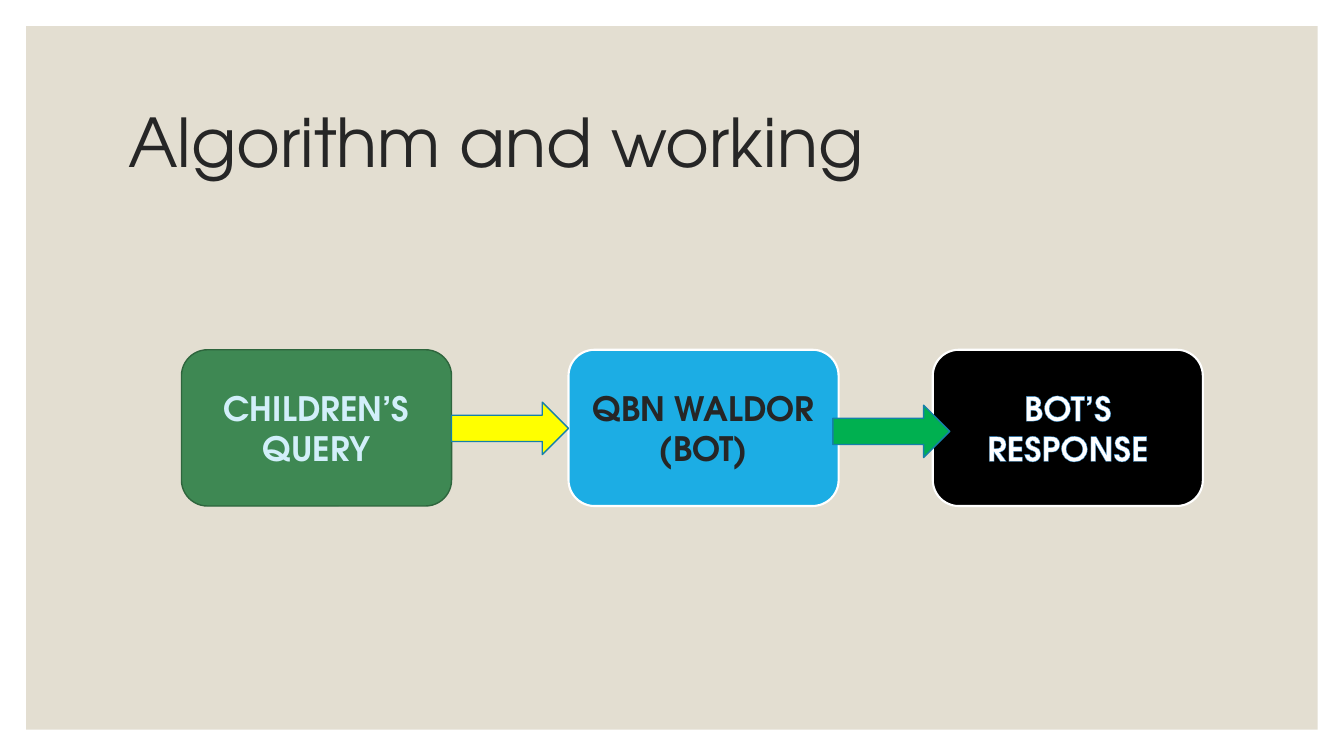
from dataclasses import dataclass

from lxml import etree
from pptx import Presentation
from pptx import util as u
from pptx.dml.color import RGBColor
from pptx.enum import dml, shapes, text
from pptx.oxml.ns import qn

FONT = "TeX Gyre Adventor"
SAND = RGBColor(0xE3, 0xDE, 0xD1)
INK = RGBColor(0x26, 0x26, 0x26)
WHITE = RGBColor(0xFF, 0xFF, 0xFF)
BLACK = RGBColor(0x00, 0x00, 0x00)
LEAF = RGBColor(0x3E, 0x88, 0x53)
DARK_LEAF = RGBColor(0x2E, 0x65, 0x3D)
SKY = RGBColor(0x1C, 0xAD, 0xE4)
PALE_SKY = RGBColor(0xD2, 0xEF, 0xFA)
BLUE = RGBColor(0x26, 0x83, 0xC6)
DEEP_SKY = RGBColor(0x15, 0x80, 0xA9)
YELLOW = RGBColor(0xFF, 0xFF, 0x00)
GREEN = RGBColor(0x00, 0xB0, 0x50)

# The grid has 100 columns and 100 rows
WIDTH, HEIGHT = u.Inches(13.33), u.Inches(7.5)
STEP_ROW, STEP_COLS, STEP_ROWS = 46.27, 20.1, 20.67
ARROW_COLS, ARROW_ROWS = 8.7, 6.93


@dataclass
class Step:
    col: float
    lines: list[str]
    fill: RGBColor
    line: RGBColor
    line_pt: float
    color: RGBColor
    outline: RGBColor
    outline_pt: float
    pattern: RGBColor | None = None


@dataclass
class Arrow:
    col: float
    row: float
    fill: RGBColor


STEPS = [
    Step(13.5, ["CHILDREN’S QUERY"], LEAF, DARK_LEAF, 1, PALE_SKY, SKY, 1, SKY),
    Step(42.3, ["QBN WALDOR", "(BOT)"], SKY, WHITE, 1.5, INK, WHITE, 1.06),
    Step(69.4, ["BOT’S RESPONSE"], BLACK, WHITE, 1.5, WHITE, BLUE, 0.52),
]
ARROWS = [Arrow(33.6, 53.2, YELLOW), Arrow(61.97, 53.6, GREEN)]


def box(col: float, row: float, cols: float, rows: float) -> list[int]:
    """Turn grid units into left, top, width and height."""
    return [int(WIDTH * col / 100), int(HEIGHT * row / 100),
            int(WIDTH * cols / 100), int(HEIGHT * rows / 100)]


def add_filled(s, kind, place: list[int], fill: RGBColor,
               line: RGBColor | None = None, line_pt: float = 1):
    sp = s.shapes.add_shape(kind, *place)
    sp.shadow.inherit = False
    sp.fill.solid()
    sp.fill.fore_color.rgb = fill
    if line is None:
        sp.line.fill.background()
    else:
        sp.line.color.rgb = line
        sp.line.width = u.Pt(line_pt)
    return sp


def outline_text(r, color: RGBColor, width_pt: float) -> None:
    ln = etree.Element(qn("a:ln"), w=str(int(u.Pt(width_pt))))
    fill = etree.SubElement(ln, qn("a:solidFill"))
    etree.SubElement(fill, qn("a:srgbClr"), val=str(color))
    r.font._element.insert(0, ln)


def add_step(s, step: Step) -> None:
    place = box(step.col, STEP_ROW, STEP_COLS, STEP_ROWS)
    sp = add_filled(s, shapes.MSO_SHAPE.ROUNDED_RECTANGLE, place,
                    step.fill, step.line, step.line_pt)
    tf = sp.text_frame
    tf.word_wrap = True
    tf.vertical_anchor = text.MSO_ANCHOR.MIDDLE
    for i, line in enumerate(step.lines):
        p = tf.add_paragraph() if i else tf.paragraphs[0]
        p.alignment = text.PP_ALIGN.CENTER
        r = p.add_run()
        r.text = line
        r.font.name, r.font.size, r.font.bold = FONT, u.Pt(24), True
        if step.pattern is None:
            r.font.color.rgb = step.color
        else:
            r.font.fill.patterned()
            r.font.fill.pattern = dml.MSO_PATTERN.PERCENT_50
            r.font.fill.fore_color.rgb = step.pattern
            r.font.fill.back_color.rgb = step.color
        outline_text(r, step.outline, step.outline_pt)


def add_title(s, words: str):
    sp = s.shapes.title
    sp.left, sp.top, sp.width, sp.height = box(8.78, 9.33, 82.5, 20)
    tf = sp.text_frame
    tf.word_wrap = True
    tf.auto_size = text.MSO_AUTO_SIZE.NONE
    tf.vertical_anchor = text.MSO_ANCHOR.MIDDLE
    p = tf.paragraphs[0]
    p.alignment = text.PP_ALIGN.LEFT
    p.line_spacing = 0.9
    r = p.add_run()
    r.text = words
    r.font.name, r.font.size = FONT, u.Pt(48)
    r.font.color.rgb = INK
    return sp


def main() -> None:
    prs = Presentation()
    prs.slide_width, prs.slide_height = WIDTH, HEIGHT
    s = prs.slides.add_slide(prs.slide_layouts[5])

    # Title on a sand panel
    title = add_title(s, "Algorithm and working")
    panel = add_filled(s, shapes.MSO_SHAPE.RECTANGLE,
                       box(1.95, 3.47, 96.1, 93.06), SAND)
    title._element.addprevious(panel._element)

    # Flow from query to response
    for step in STEPS:
        add_step(s, step)
    for arrow in ARROWS:
        add_filled(s, shapes.MSO_SHAPE.RIGHT_ARROW,
                   box(arrow.col, arrow.row, ARROW_COLS, ARROW_ROWS),
                   arrow.fill, DEEP_SKY)

    prs.save("out.pptx")


if __name__ == "__main__":
    main()
